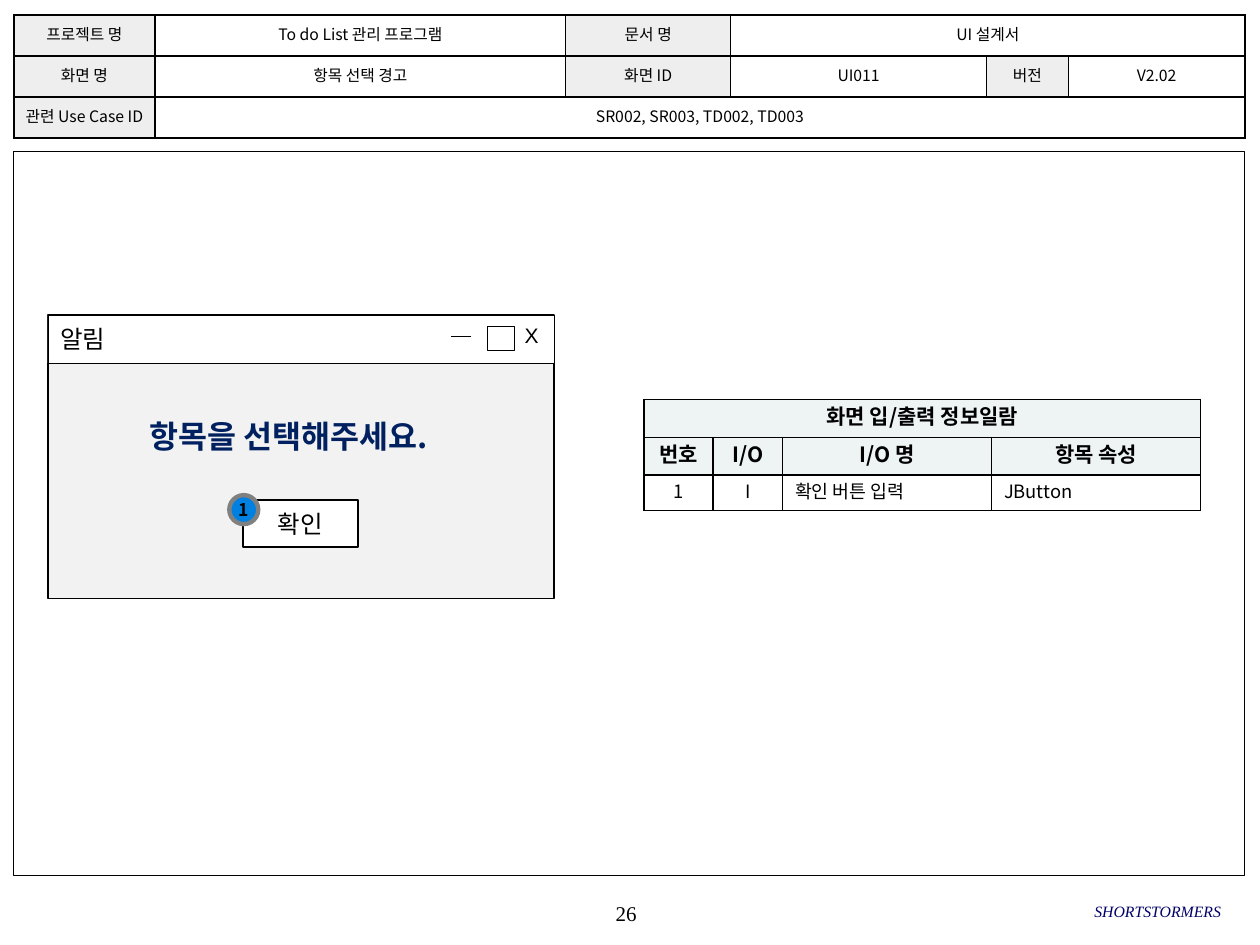
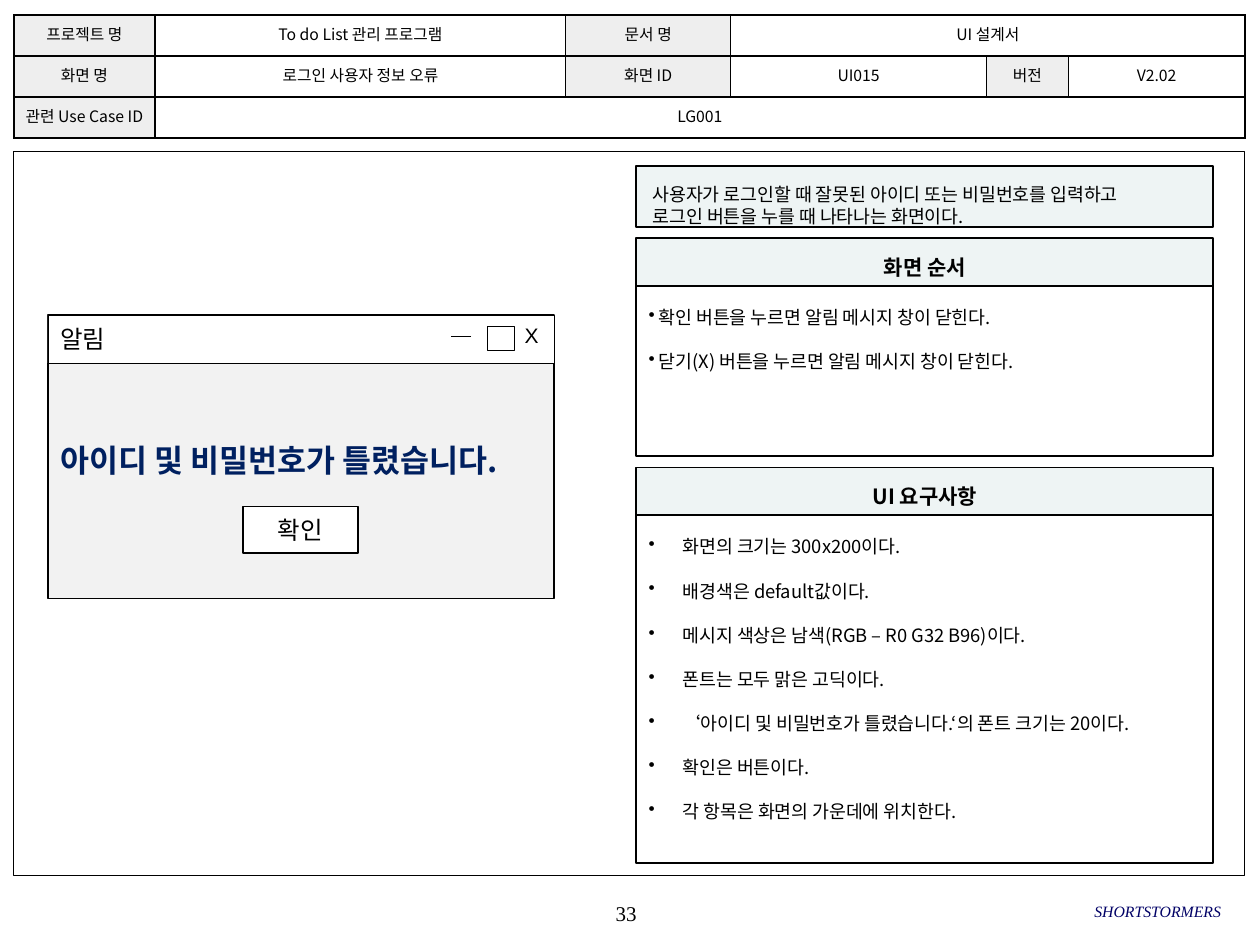
from lxml import etree
from pptx import Presentation
from pptx.dml.color import RGBColor
from pptx.enum import shapes, text as t
from pptx.oxml import ns
from pptx.util import Inches, Pt

SANS, SERIF = "Noto Sans CJK KR", "Times New Roman"
BLACK, WHITE, NAVY = "000000", "FFFFFF", "002060"
LABEL_GREY, WINDOW_GREY, HEADING_TINT = "EEEEEE", "F2F2F2", "EEF4F4"
LEFT, CENTER, RIGHT = t.PP_ALIGN.LEFT, t.PP_ALIGN.CENTER, t.PP_ALIGN.RIGHT
TOP, MIDDLE = t.MSO_ANCHOR.TOP, t.MSO_ANCHOR.MIDDLE
RECT, OVAL = shapes.MSO_SHAPE.RECTANGLE, shapes.MSO_SHAPE.OVAL
INSETS = (0.1, 0.05, 0.1, 0.05)
HEADING_INSETS = (0.1, 0.13, 0.1, 0.05)


def rgb(color):
    return RGBColor.from_string(color)


def sub(parent, tag, **attributes):
    return etree.SubElement(parent, ns.qn(tag), attributes)


def paint(fill, color):
    if color:
        fill.solid()
        fill.fore_color.rgb = rgb(color)
    else:
        fill.background()


def write(frame, content, size=10.5, font=SANS, color=BLACK, bold=False,
          italic=False, align=LEFT, gap=0, hang=None):
    """Fill a text frame, one paragraph a line; hang is the bullet indent."""
    for index, line in enumerate(content.split("\n")):
        paragraph = frame.paragraphs[0] if index == 0 else frame.add_paragraph()
        paragraph.alignment = align
        paragraph.line_spacing = Pt(size * 1.2)
        if index and gap:
            paragraph.space_before = Pt(gap)
        if hang:
            properties = paragraph._p.get_or_add_pPr()
            properties.set("marL", str(Inches(hang)))
            properties.set("indent", str(-Inches(hang)))
            sub(properties, "a:buChar", char="•")
        run = paragraph.add_run()
        run.text = line
        run.font.size = Pt(size)
        run.font.bold, run.font.italic = bold, italic
        run.font.color.rgb = rgb(color)
        run.font.name = font
        sub(run._r.get_or_add_rPr(), "a:ea", typeface=font)


def set_frame(frame, insets, anchor):
    frame.word_wrap = True
    frame.vertical_anchor = anchor
    (frame.margin_left, frame.margin_top,
     frame.margin_right, frame.margin_bottom) = map(Inches, insets)


def add_text(slide, box, content, insets=(0, 0, 0, 0), anchor=MIDDLE, **style):
    frame = slide.shapes.add_textbox(*map(Inches, box)).text_frame
    set_frame(frame, insets, anchor)
    write(frame, content, **style)


def add_box(slide, box, fill=None, weight=1, outline=BLACK, preset=RECT,
            content=None, insets=INSETS, anchor=MIDDLE, **style):
    shape = slide.shapes.add_shape(preset, *map(Inches, box))
    shape.shadow.inherit = False
    paint(shape.fill, fill)
    shape.line.color.rgb = rgb(outline)
    shape.line.width = Pt(weight)
    if content:
        set_frame(shape.text_frame, insets, anchor)
        write(shape.text_frame, content, **style)


def add_line(slide, start, end, weight):
    line = slide.shapes.add_connector(
        shapes.MSO_CONNECTOR.STRAIGHT, *map(Inches, start + end))
    line.line.color.rgb = rgb(BLACK)
    line.line.width = Pt(weight)
    sub(line._element.spPr, "a:effectLst")


def add_borders(cell):
    properties = cell._tc.get_or_add_tcPr()
    for side in "LRTB":
        border = sub(properties, f"a:ln{side}", w=str(Pt(1)))
        sub(sub(border, "a:solidFill"), "a:srgbClr", val=BLACK)


def add_grid(slide, corner, widths, heights, rows, insets=INSETS):
    """Draw a table of (text, fill, style) cells; None extends the cell before."""
    size = (sum(widths), sum(heights))
    table = slide.shapes.add_table(
        len(rows), len(widths), *map(Inches, corner + size)).table
    table.first_row = table.horz_banding = False
    for column, width in zip(table.columns, widths):
        column.width = Inches(width)
    for y, (height, row) in enumerate(zip(heights, rows)):
        table.rows[y].height = Inches(height)
        for x, entry in enumerate(row):
            cell = table.cell(y, x)
            add_borders(cell)
            paint(cell.fill, entry and entry[1])
            if not entry:
                continue
            end = x
            while end + 1 < len(row) and row[end + 1] is None:
                end += 1
            if end > x:
                cell.merge(table.cell(y, end))
            content, _, style = entry
            set_cell_margins(cell, insets)
            write(cell.text_frame, content, **style)


def set_cell_margins(cell, insets):
    cell.vertical_anchor = MIDDLE
    (cell.margin_left, cell.margin_top,
     cell.margin_right, cell.margin_bottom) = map(Inches, insets)


def add_document_header(slide, screen, screen_id, use_cases):
    style = dict(size=9, align=CENTER)

    def label(content):
        return content, LABEL_GREY, style

    def value(content):
        return content, None, style

    rows = [
        [label("프로젝트 명"), value("To do List 관리 프로그램"),
         label("문서 명"), value("UI 설계서"), None, None],
        [label("화면 명"), value(screen), label("화면 ID"), value(screen_id),
         label("버전"), value("V2.02")],
        [label("관련 Use Case ID"), value(use_cases)] + [None] * 4,
    ]
    add_grid(slide, (0.11, 0.12), [1.12, 3.26, 1.31, 2.03, 0.65, 1.4],
             [0.325] * 3, rows, insets=(0.04, 0.02, 0.04, 0.02))


def add_page(deck, number, screen, screen_id, use_cases):
    """Add a slide with the header table, frame and footer all pages share."""
    slide = deck.slides.add_slide(deck.slide_layouts[6])
    add_text(slide, (3.93, 7.08, 2.08, 0.33), str(number), size=12,
             font=SERIF, align=CENTER)
    add_box(slide, (0.11, 1.2, 9.77, 5.75), weight=0.75)
    add_document_header(slide, screen, screen_id, use_cases)
    add_text(slide, (6.63, 7.07, 3.06, 0.33), "SHORTSTORMERS", size=9,
             font=SERIF, color="000066", italic=True, align=RIGHT)
    return slide


def add_alert_window(slide, message, message_box, button_top):
    add_box(slide, (0.38, 2.5, 4.02, 2.25), WINDOW_GREY)
    add_text(slide, message_box, message, insets=INSETS, size=18,
             color=NAVY, bold=True)
    add_box(slide, (0.38, 2.5, 4.02, 0.38), WHITE, 0.25,
            content="알림", size=14)
    add_text(slide, (4.07, 2.51, 0.3, 0.3), "X", size=12, font="Arial",
             align=CENTER)
    add_box(slide, (3.87, 2.59, 0.21, 0.19), WHITE, 0.25)
    add_line(slide, (3.74, 2.67), (3.58, 2.67), 0.25)
    add_box(slide, (1.93, button_top, 0.91, 0.37), WHITE,
            content="확인", size=14, align=CENTER)


def add_io_table(slide):
    def heading(content):
        return content, HEADING_TINT, dict(size=12, bold=True, align=CENTER)

    def entry(content, align=LEFT):
        return content, WHITE, dict(align=align)

    rows = [
        [heading("화면 입/출력 정보일람")] + [None] * 3,
        [heading(name) for name in ("번호", "I/O", "I/O 명", "항목 속성")],
        [entry("1", CENTER), entry("I", CENTER),
         entry("확인 버튼 입력"), entry("JButton")],
    ]
    add_grid(slide, (5.11, 3.17), [0.55, 0.55, 1.66, 1.66],
             [0.3, 0.3, 0.28], rows)


def add_section(slide, top, body_height, title, items, hang):
    add_box(slide, (5.05, top, 4.58, 0.38), HEADING_TINT, content=title,
            insets=HEADING_INSETS, anchor=TOP, size=12, bold=True, align=CENTER)
    add_box(slide, (5.05, top + 0.38, 4.58, body_height), WHITE,
            content="\n".join(items), insets=(0.1, 0.16, 0.1, 0.05),
            anchor=TOP, gap=12.6, hang=hang)


def main():
    deck = Presentation()
    deck.slide_width, deck.slide_height = Inches(10), Inches(7.5)

    selection = add_page(deck, 26, "항목 선택 경고", "UI011",
                         "SR002, SR003, TD002, TD003")
    add_alert_window(selection, "항목을 선택해주세요.",
                     (1.09, 3.26, 2.72, 0.4), 3.97)
    add_box(selection, (1.82, 3.93, 0.23, 0.23), "0081E2", 2.5, "808080", OVAL,
            content="1", insets=(0, 0, 0, 0), size=10, bold=True, align=CENTER)
    add_io_table(selection)

    login = add_page(deck, 33, "로그인 사용자 정보 오류", "UI015", "LG001")
    add_box(login, (5.05, 1.32, 4.58, 0.48), HEADING_TINT,
            content="사용자가 로그인할 때 잘못된 아이디 또는 비밀번호를 입력하고\n"
                    "로그인 버튼을 누를 때 나타나는 화면이다.",
            insets=(0.13, 0.13, 0.1, 0), anchor=TOP)
    add_section(login, 1.89, 1.35, "화면 순서", [
        "확인 버튼을 누르면 알림 메시지 창이 닫힌다.",
        "닫기(X) 버튼을 누르면 알림 메시지 창이 닫힌다.",
    ], hang=0.08)
    add_section(login, 3.71, 2.76, "UI 요구사항", [
        "화면의 크기는 300x200이다.",
        "배경색은 default값이다.",
        "메시지 색상은 남색(RGB – R0 G32 B96)이다.",
        "폰트는 모두 맑은 고딕이다.",
        "‘아이디 및 비밀번호가 틀렸습니다.‘의 폰트 크기는 20이다.",
        "확인은 버튼이다.",
        "각 항목은 화면의 가운데에 위치한다.",
    ], hang=0.27)
    add_alert_window(login, "아이디 및 비밀번호가 틀렸습니다.",
                     (0.38, 3.45, 4.07, 0.4), 4.02)

    deck.save("out.pptx")


if __name__ == "__main__":
    main()
